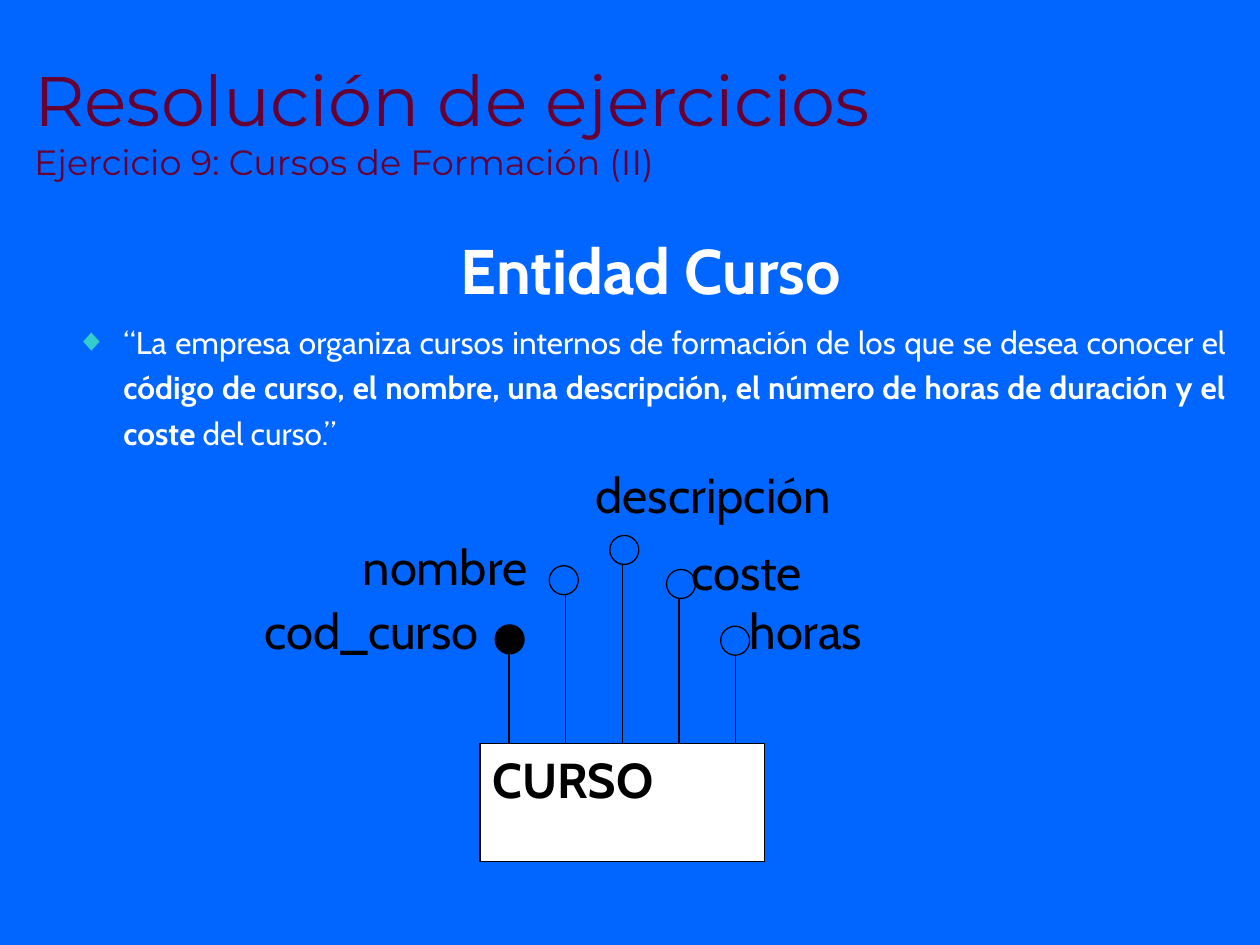
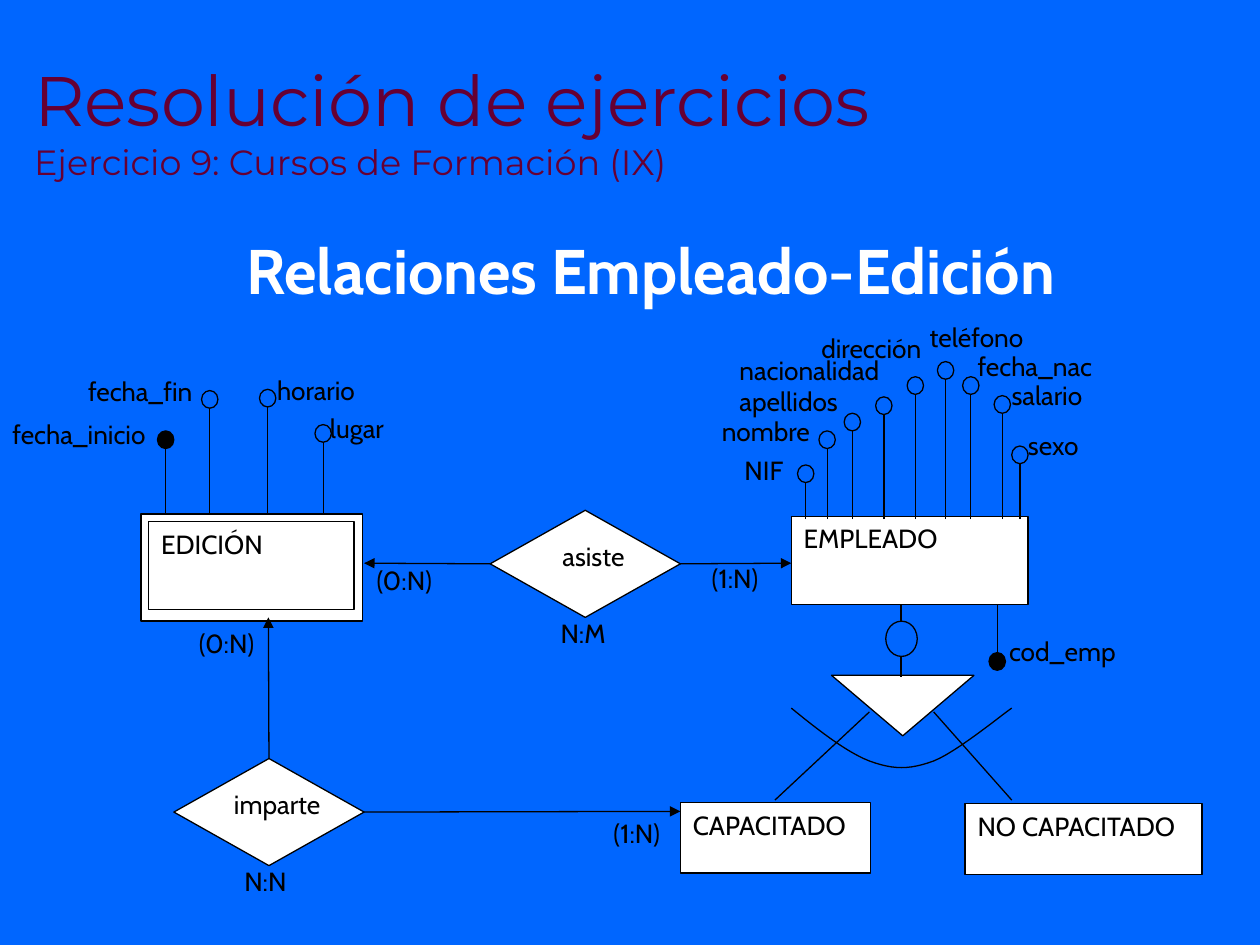
from pptx import Presentation
from pptx import util as u
from pptx.dml.color import RGBColor
from pptx.enum import shapes as sh, text as tx
from pptx.oxml.ns import qn
from lxml import etree

HUE = {"back": "0066FF", "title": "660033", "body": "FFFFFF",
       "bullet": "33CCCC", "ink": "000000", "box": "FFFFFF"}
HEAD, TEXT = "Montserrat", "Cabin"
SHAPE, ALIGN = sh.MSO_SHAPE, tx.PP_ALIGN


def rgb(name):
    return RGBColor.from_string(HUE[name])


def place(item, *spot):
    item.left, item.top, item.width, item.height = map(u.Inches, spot)


def font(par, face, hue, size=None, bold=None):
    par.font.name, par.font.bold = face, bold
    par.font.color.rgb = rgb(hue)
    if size:
        par.font.size = u.Pt(size)


def stroke(item):
    item.line.color.rgb = rgb("ink")
    item.line.width = u.Pt(0.75)


def finish(item, fill):
    item.shadow.inherit = False
    stroke(item)
    if fill:
        item.fill.solid()
        item.fill.fore_color.rgb = rgb(fill)
    else:
        item.fill.background()


def shape(slide, kind, spot, fill=None):
    item = slide.shapes.add_shape(kind, *map(u.Inches, spot))
    finish(item, fill)
    return item


def write(item, words, size, bold=None, align=ALIGN.LEFT):
    frame = item.text_frame
    frame.word_wrap = True
    frame.vertical_anchor = tx.MSO_ANCHOR.TOP
    par = frame.paragraphs[0]
    par.text, par.alignment = words, align
    font(par, TEXT, "ink", size, bold)


def entity(slide, words, spot, size=15, bold=None):
    box = shape(slide, SHAPE.RECTANGLE, spot, "box")
    write(box, words, size, bold)
    return box


def label(slide, words, x, y, size=15, align=ALIGN.LEFT):
    wide, high = (2.49, 0.7) if size > 20 else (1.38, 0.42)
    box = slide.shapes.add_textbox(*map(u.Inches, (x, y, wide, high)))
    write(box, words, size, align=align)


def link(slide, x1, y1, x2, y2, arrow=False):
    line = slide.shapes.add_connector(
        sh.MSO_CONNECTOR.STRAIGHT, *map(u.Inches, (x1, y1, x2, y2)))
    stroke(line)
    props = line._element.spPr
    if arrow:
        etree.SubElement(props.find(qn("a:ln")), qn("a:tailEnd"), type="triangle")
    etree.SubElement(props, qn("a:effectLst"))
    return line


def field(slide, words, spot, dot, foot, key=False, size=15, x=None):
    """Draw an attribute: its name, its dot and the stem down to the entity."""
    left, top = dot
    wide, high = (0.23, 0.23) if size > 20 else (0.13, 0.14)
    x = x or left + wide / 2
    end = top if foot < top else top + high
    stem = link(slide, x, foot, x, end)
    shape(slide, SHAPE.OVAL, (left, top, wide, high), "ink" if key else None)
    label(slide, words, *spot, size)
    return stem


def relation(slide, words, x, y):
    gem = shape(slide, SHAPE.DIAMOND, (x, y, 1.51, 0.85), "box")
    label(slide, words, x + 0.13, y + 0.19, align=ALIGN.CENTER)
    return gem


def curve(slide, start, parts, steps=12):
    pts, here = [], start
    for a, b, c in parts:
        for t in (n / steps for n in range(1, steps + 1)):
            s = 1 - t
            pts.append([u.Inches(s**3 * p + 3 * s * s * t * q + 3 * s * t * t * r + t**3 * v)
                        for p, q, r, v in zip(here, a, b, c)])
        here = c
    pen = slide.shapes.build_freeform(*map(u.Inches, start))
    pen.add_line_segments(pts, close=False)
    finish(pen.convert_to_shape(), None)


def layout(par, align, gap, mark=None):
    par.alignment, par.line_spacing = align, 1.2
    par.space_before = u.Pt(gap)
    props = par._p.get_or_add_pPr()
    props.set("marL", str(u.Inches(0.38)))
    props.set("indent", str(u.Inches(-0.38)))
    if mark:
        tint = etree.SubElement(props, qn("a:buClr"))
        etree.SubElement(tint, qn("a:srgbClr"), val=HUE["bullet"])
        etree.SubElement(props, qn("a:buChar"), char=mark)
    else:
        etree.SubElement(props, qn("a:buNone"))


def start(deck, part, head):
    slide = deck.slides.add_slide(deck.slide_layouts[1])
    title, body = slide.placeholders
    place(title, 0.17, 0.25, 9.83, 1.25)
    place(body, 0.5, 1.67, 9.33, 5.67)
    for item in (title, body):
        item.text_frame.auto_size = tx.MSO_AUTO_SIZE.NONE
        item.text_frame.word_wrap = True
    title.text_frame.vertical_anchor = tx.MSO_ANCHOR.BOTTOM
    par = title.text_frame.paragraphs[0]
    par.alignment = ALIGN.LEFT
    font(par, HEAD, "title")
    top = par.add_run()
    top.text, top.font.size = "Resolución de ejercicios", u.Pt(40)
    par.add_line_break()
    sub = par.add_run()
    sub.text = f"Ejercicio 9: Cursos de Formación ({part})"
    sub.font.size = u.Pt(20)
    par = body.text_frame.paragraphs[0]
    par.text = head
    layout(par, ALIGN.CENTER, 9)
    font(par, TEXT, "body", 36, True)
    return slide, body


def course(deck):
    slide, body = start(deck, "II", "Entidad Curso")
    par = body.text_frame.add_paragraph()
    layout(par, ALIGN.JUSTIFY, 4.5, "◆")
    font(par, TEXT, "body", 18)
    for words, bold in (
            ("“La empresa organiza cursos internos de formación de los que se desea conocer el ", False),
            ("código de curso, el nombre, una descripción, el número de horas de duración y el coste", True),
            (" del curso.”", False)):
        run = par.add_run()
        run.text, run.font.bold = words, bold
    box = entity(slide, "CURSO", (3.81, 5.9, 2.26, 0.94), 28, True)
    rows = (("cod_curso", (2, 4.72), (3.93, 4.96)),
            ("nombre", (2.78, 4.21), (4.36, 4.49)),
            ("descripción", (4.63, 3.64), (4.84, 4.25)),
            ("coste", (5.39, 4.25), (5.29, 4.52)),
            ("horas", (5.85, 4.72), (5.72, 4.97)))
    stems = [field(slide, *row, 5.9, key=n == 0, size=28, x=4.04 + 0.45 * n)
             for n, row in enumerate(rows)]
    stems[2].begin_connect(box, 0)


def edition(slide):
    shape(slide, SHAPE.RECTANGLE, (1.12, 4.08, 1.76, 0.85), "box")
    entity(slide, "EDICIÓN", (1.18, 4.14, 1.63, 0.7))
    field(slide, "fecha_inicio", (0, 3.27), (1.25, 3.42), 4.08, key=True)
    for row in (("fecha_fin", (0.6, 2.93), (1.6, 3.1)),
                ("horario", (2.1, 2.92), (2.06, 3.09)),
                ("lugar", (2.52, 3.22), (2.5, 3.37))):
        field(slide, *row, 4.08)


def worker(slide):
    entity(slide, "EMPLEADO", (6.28, 4.1, 1.88, 0.7))
    field(slide, "cod_emp", (7.91, 4.99), (7.85, 5.18), 4.8, key=True)
    for row in (("NIF", (5.81, 3.56), (6.33, 3.69)),
                ("nombre", (5.63, 3.25), (6.5, 3.42)),
                ("apellidos", (5.77, 3.01), (6.7, 3.28)),
                ("nacionalidad", (5.77, 2.76), (6.95, 3.15)),
                ("dirección", (6.42, 2.59), (7.2, 2.99)),
                ("teléfono", (7.28, 2.5), (7.44, 2.87)),
                ("fecha_nac", (7.66, 2.73), (7.64, 2.99)),
                ("salario", (7.93, 2.96), (7.89, 3.14)),
                ("sexo", (8.06, 3.36), (8.03, 3.54))):
        field(slide, *row, 4.12)


def split(slide):
    entity(slide, "CAPACITADO", (5.4, 6.37, 1.51, 0.56))
    entity(slide, "NO CAPACITADO", (7.66, 6.38, 1.88, 0.56))
    shape(slide, SHAPE.FLOWCHART_MERGE, (6.6, 5.36, 1.13, 0.48), "box")
    for ends in ((7.15, 4.8, 7.15, 5.37), (6.9, 5.65, 6.15, 6.35),
                 (7.41, 5.65, 8.03, 6.35)):
        link(slide, *ends)
    shape(slide, SHAPE.OVAL, (7.03, 4.93, 0.25, 0.28), "back")
    curve(slide, (6.28, 5.62), (((6.5, 5.8), (6.72, 5.97), (6.9, 6.04)),
                                ((7.09, 6.11), (7.22, 6.11), (7.41, 6.04)),
                                ((7.59, 5.97), (7.93, 5.69), (8.03, 5.62))))


def staff(deck):
    slide, _ = start(deck, "IX", "Relaciones Empleado-Edición")
    edition(slide)
    worker(slide)
    split(slide)
    attend = relation(slide, "asiste", 3.89, 4.05)
    teach = relation(slide, "imparte", 1.38, 6.02)
    for gem, side, ends in ((teach, 3, (2.89, 6.44, 5.4, 6.44)),
                            (teach, 0, (2.13, 6.02, 2.13, 4.9)),
                            (attend, 3, (5.4, 4.47, 6.28, 4.47)),
                            (attend, 1, (3.89, 4.47, 2.89, 4.47))):
        link(slide, *ends, arrow=True).begin_connect(gem, side)
    for note in (("N:M", 4.35, 4.85), ("N:N", 1.84, 6.82), ("(1:N)", 4.77, 6.44),
                 ("(0:N)", 1.48, 4.93), ("(0:N)", 2.89, 4.43), ("(1:N)", 5.55, 4.41)):
        label(slide, *note)


def main():
    deck = Presentation()
    deck.slide_width, deck.slide_height = u.Inches(10), u.Inches(7.5)
    back = deck.slide_master.background.fill
    back.solid()
    back.fore_color.rgb = rgb("back")
    course(deck)
    staff(deck)
    deck.save("out.pptx")


if __name__ == "__main__":
    main()
